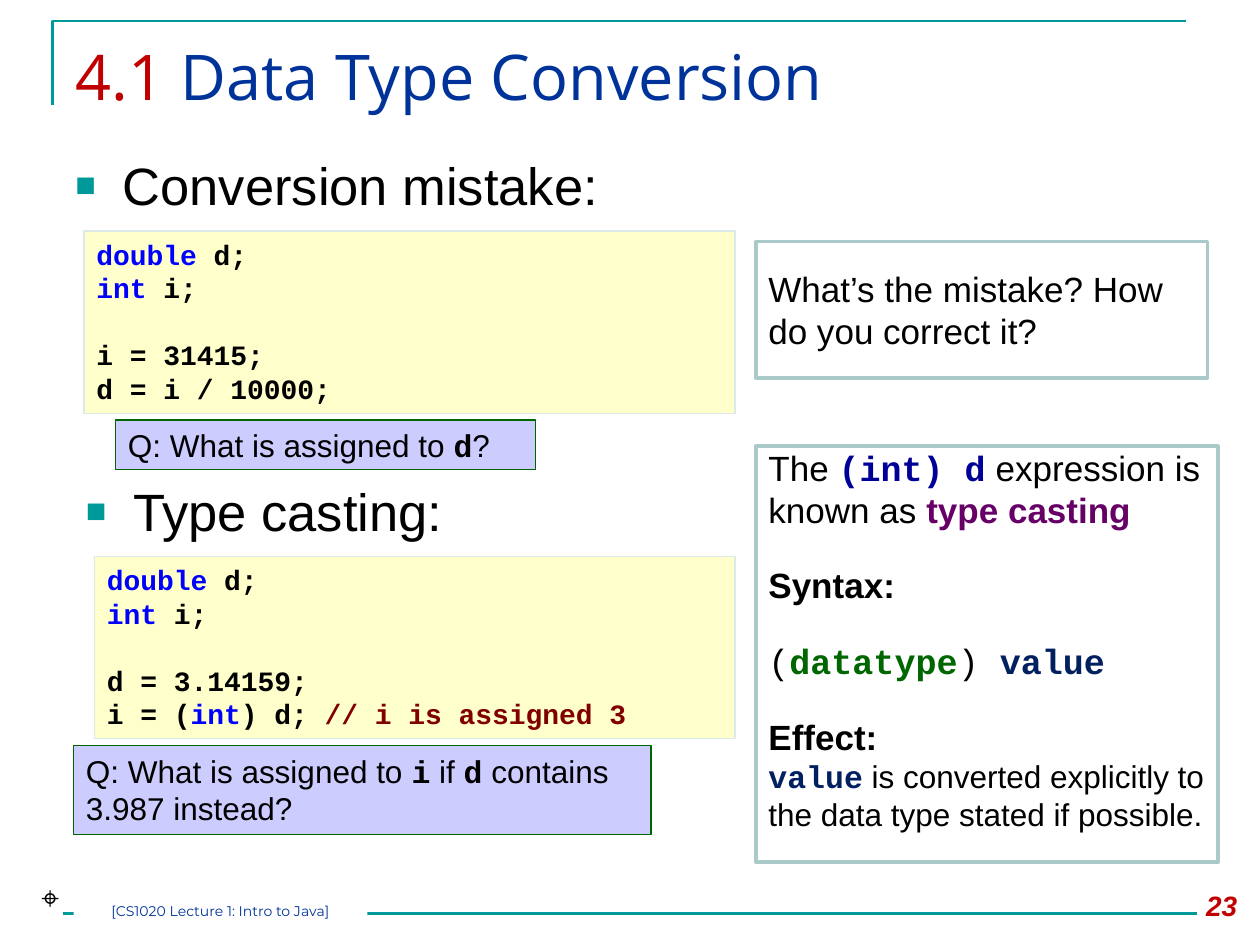
from dataclasses import dataclass, replace

from lxml.etree import SubElement
from pptx import Presentation
from pptx.dml.color import RGBColor
from pptx.enum.shapes import MSO_CONNECTOR, MSO_SHAPE
from pptx.enum.text import MSO_ANCHOR as Anchor, MSO_AUTO_SIZE as AutoSize, PP_ALIGN as Align
from pptx.oxml.ns import qn
from pptx.util import Pt

PX = 9525  # EMU per px, 96 px to the inch


@dataclass(frozen=True)
class Theme:
    sans: str = "Arial"
    mono: str = "Courier New"
    heading: str = "Open Sans"
    small: str = "Montserrat"
    black: str = "000000"
    white: str = "FFFFFF"
    red: str = "C00000"
    navy: str = "003399"
    teal: str = "009999"
    keyword: str = "0000FF"
    comment: str = "800000"
    cast: str = "000099"
    term: str = "660066"
    datatype: str = "006600"
    value: str = "002060"
    code_fill: str = "FFFFCC"
    code_line: str = "DDEAEA"
    note_line: str = "AACACA"
    question_fill: str = "CCCCFF"
    question_line: str = "006600"
    title_size: int = 36
    bullet_size: int = 30
    note_size: int = 20
    text_size: int = 18
    code_size: int = 16
    footer_size: int = 8
    leading: float = 1.2


THEME = Theme()
GAP = THEME.code_size * THEME.leading


@dataclass(frozen=True)
class Span:
    text: str
    color: str = THEME.black
    size: int = THEME.text_size
    font: str = THEME.sans
    bold: bool = False
    italic: bool = False


def code(text, color=THEME.black, size=THEME.code_size, bold=True):
    return Span(text, color, size, THEME.mono, bold)


def note(text, color=THEME.black, bold=False):
    return Span(text, color, THEME.note_size, bold=bold)


def rgb(value):
    return RGBColor.from_string(value)


def box_px(*lengths):
    return [length * PX for length in lengths]


def write_para(para, spans, align=Align.LEFT, before=0, leading=True):
    para.alignment = align
    para.space_before = Pt(before)
    if leading:
        para.line_spacing = Pt(round(max(span.size for span in spans) * THEME.leading, 1))
    for span in spans:
        run = para.add_run()
        run.text = span.text
        font = run.font
        font.name, font.size = span.font, Pt(span.size)
        font.bold, font.italic = span.bold, span.italic
        font.color.rgb = rgb(span.color)


def fill_frame(frame, paras, anchor=Anchor.TOP, align=Align.LEFT, leading=True):
    """Write paras, each a (space before in points, spans) pair."""
    frame.word_wrap = True
    frame.auto_size = AutoSize.NONE
    frame.vertical_anchor = anchor
    for index, (before, spans) in enumerate(paras):
        para = frame.add_paragraph() if index else frame.paragraphs[0]
        write_para(para, spans, align, before, leading)


def add_text(page, place, spans, align=Align.LEFT):
    box = page.shapes.add_textbox(*box_px(*place))
    fill_frame(box.text_frame, [(0, spans)], align=align)
    return box


def add_panel(page, place, paras, fill, line=None, width=0.75, **layout):
    panel = page.shapes.add_shape(MSO_SHAPE.RECTANGLE, *box_px(*place))
    panel.shadow.inherit = False
    panel.fill.solid()
    panel.fill.fore_color.rgb = rgb(fill)
    if line:
        panel.line.color.rgb = rgb(line)
        panel.line.width = Pt(width)
    else:
        panel.line.fill.background()
    fill_frame(panel.text_frame, paras, **layout)
    return panel


def add_code(page, place, statements):
    declarations = [(0, [code("double", THEME.keyword), code(" d;")]),
                    (0, [code("int ", THEME.keyword), code("i;")])]
    body = [(0 if index else GAP, spans) for index, spans in enumerate(statements)]
    add_panel(page, place, declarations + body, THEME.code_fill, THEME.code_line)


def add_note(page, place, paras, anchor):
    return add_panel(page, place, paras, THEME.white, THEME.note_line, 2, anchor=anchor)


def add_question(page, place, parts):
    """Set the parts in sans and mono by turns."""
    spans = [code(part, size=THEME.text_size) if index % 2 else Span(part)
             for index, part in enumerate(parts)]
    add_panel(page, place, [(0, spans)], THEME.question_fill, THEME.question_line)


def add_bullet(page, left, top, text):
    box = add_text(page, (left, top, 864, 64), [Span(text, size=THEME.bullet_size)])
    props = box.text_frame.paragraphs[0]._p.get_or_add_pPr()
    props.set("marL", str(36 * PX))
    props.set("indent", str(-36 * PX))
    color = SubElement(props, qn("a:buClr"))
    SubElement(color, qn("a:srgbClr"), val=THEME.teal)
    SubElement(props, qn("a:buSzPct"), val="65000")
    SubElement(props, qn("a:buFont"), typeface=THEME.sans)
    SubElement(props, qn("a:buChar"), char="■")


def add_rules(page):
    builder = page.shapes.build_freeform(40, 80, scale=PX)
    builder.add_line_segments([(40, 16), (904, 16)], close=False)
    corner = builder.convert_to_shape()
    corner.shadow.inherit = False
    corner.fill.background()
    bottom = page.shapes.add_connector(MSO_CONNECTOR.STRAIGHT, *box_px(48, 696, 912, 696))
    SubElement(bottom._element.spPr, qn("a:effectLst"))
    for rule in (corner, bottom):
        rule.line.color.rgb = rgb(THEME.teal)
        rule.line.width = Pt(1.5)


def add_title(page, number, text):
    title = page.shapes.title
    title.left, title.top, title.width, title.height = box_px(48, 24, 864, 83)
    style = Span(number, THEME.red, THEME.title_size, THEME.heading)
    spans = [style, replace(style, text=text, color=THEME.navy)]
    fill_frame(title.text_frame, [(0, spans)], leading=False)


def add_footer(page):
    add_text(page, (888, 672, 64, 38),
             [Span("23", THEME.red, THEME.code_size, bold=True, italic=True)], Align.RIGHT)
    add_text(page, (22, 664, 32, 38), [Span("⌖")], Align.CENTER)
    credit = Span("[CS1020 Lecture 1: Intro to Java]", THEME.navy,
                  THEME.footer_size, THEME.small)
    label = add_panel(page, (56, 688, 224, 16), [(0, [credit])], THEME.white,
                      align=Align.CENTER, leading=False)
    frame = label.text_frame
    frame.margin_left = frame.margin_top = frame.margin_right = frame.margin_bottom = 0


def add_casting_note(page):
    size = THEME.note_size
    paras = [
        (0, [note("The "), code("(int) d", THEME.cast, size),
             note(" expression is known as "), note("type casting", THEME.term, True)]),
        (GAP, [note("Syntax:", bold=True)]),
        (GAP, [code("(", size=size, bold=False), code("datatype", THEME.datatype, size),
               code(") ", size=size, bold=False), code("value", THEME.value, size)]),
        (GAP, [note("Effect:", bold=True)]),
        (0, [code("value", THEME.value, THEME.text_size),
             Span(" is converted explicitly to the data type stated if possible.")]),
    ]
    panel = add_note(page, (576, 340, 352, 317), paras, Anchor.TOP)
    panel.text_frame.margin_top = 0


def main():
    deck = Presentation()
    deck.slide_width, deck.slide_height = box_px(960, 720)
    page = deck.slides.add_slide(deck.slide_layouts[5])
    add_rules(page)
    add_title(page, "4.1", " Data Type Conversion")

    add_bullet(page, 48, 112, "Conversion mistake:")
    add_code(page, (64, 176, 496, 139), [[code("i = 31415;")], [code("d = i / 10000;")]])
    add_note(page, (576, 184, 344, 104),
             [(0, [note("What’s the mistake? How do you correct it?")])], Anchor.MIDDLE)
    add_question(page, (88, 320, 320, 38), ["Q: What is assigned to ", "d", "?"])

    add_bullet(page, 56, 360, "Type casting:")
    add_code(page, (72, 424, 488, 139), [
        [code("d = 3.14159;")],
        [code("i = ("), code("int", THEME.keyword), code(") d; "),
         code("// i is assigned 3", THEME.comment)]])
    add_casting_note(page)
    add_question(page, (56, 568, 440, 68),
                 ["Q: What is assigned to ", "i", " if ", "d", " contains 3.987 instead?"])
    add_footer(page)
    deck.save("out.pptx")


if __name__ == "__main__":
    main()
